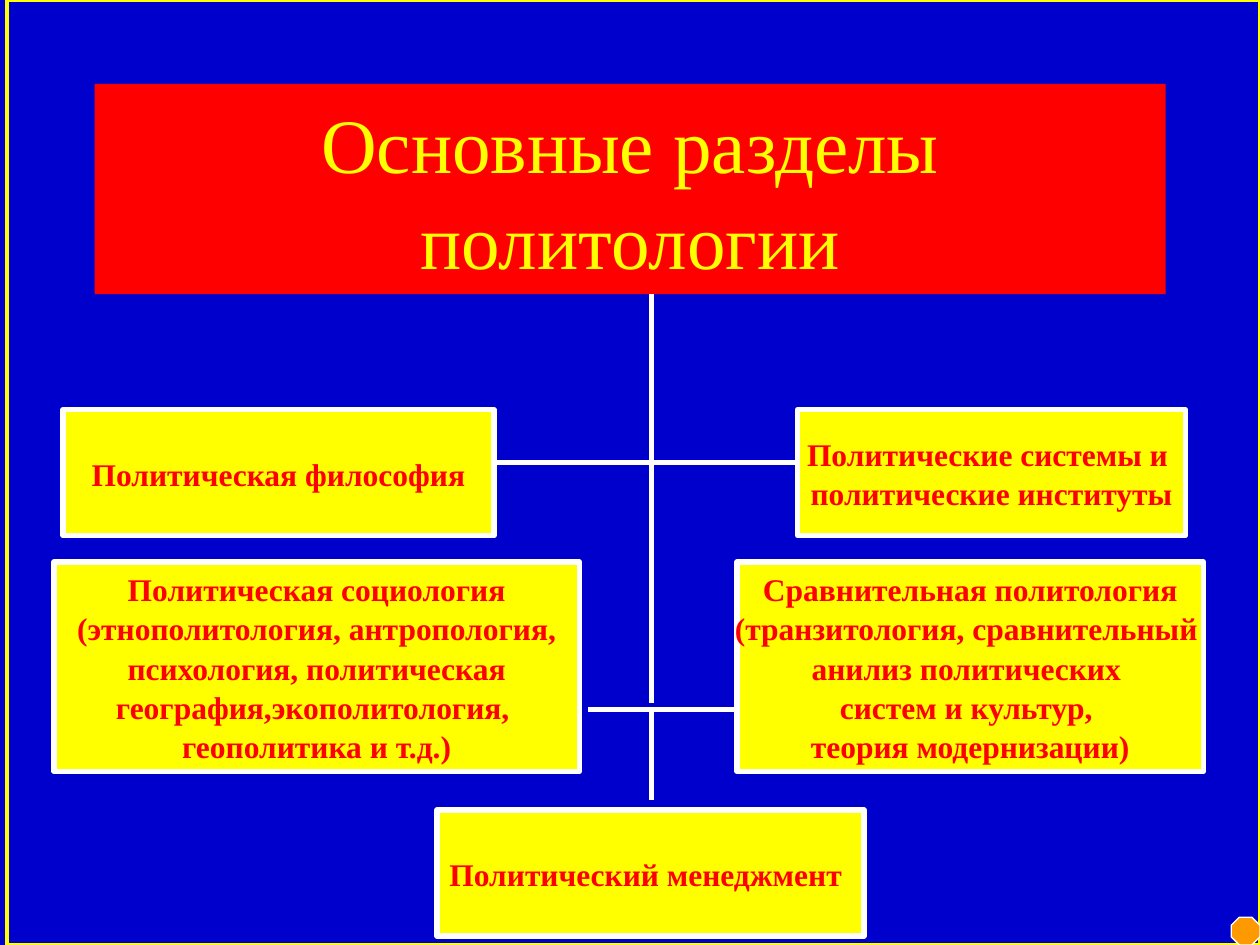
"""Build a slide charting the main branches of political science."""
from dataclasses import dataclass
from typing import Optional

from lxml import etree
from pptx import Presentation
from pptx import util as u
from pptx.dml.color import RGBColor
from pptx.enum import shapes, text
from pptx.oxml.ns import qn

BLUE = RGBColor(0x00, 0x00, 0xCC)
YELLOW = RGBColor(0xFF, 0xFF, 0x00)
RED = RGBColor(0xFF, 0x00, 0x00)
WHITE = RGBColor(0xFF, 0xFF, 0xFF)
ORANGE = RGBColor(0xFF, 0x99, 0x00)
FONT = "Times New Roman"
LINE_SPACING = 1.04
CENTER = text.PP_ALIGN.CENTER
LEFT = text.PP_ALIGN.LEFT
RECTANGLE = shapes.MSO_SHAPE.RECTANGLE


@dataclass(frozen=True)
class Block:
    left: float
    top: float
    width: float
    height: float
    lines: tuple[str, ...] = ()
    fill: Optional[RGBColor] = YELLOW
    outline: Optional[RGBColor] = WHITE
    outline_width: float = 3
    kind: shapes.MSO_SHAPE = RECTANGLE
    size: int = 18
    color: RGBColor = RED
    bold: bool = True
    align: text.PP_ALIGN = CENTER
    wrap: bool = False


@dataclass(frozen=True)
class Link:
    start: tuple[float, float]
    end: tuple[float, float]


TRUNK = 13.13
UPPER_TOP, UPPER_HEIGHT, UPPER_LINK = 8.26, 2.54, 9.32
LOWER_TOP, LOWER_HEIGHT, LOWER_LINK = 11.33, 4.22, 14.3

BLOCKS = (
    Block(0.15, 0, 25.25, 19.05, fill=None, outline=YELLOW, outline_width=2.25),
    Block(24.82, 18.49, 0.58, 0.56, fill=ORANGE, outline_width=0.75,
          kind=shapes.MSO_SHAPE.OCTAGON),
    Block(1.91, 1.69, 21.59, 4.24, ("Основные разделы политологии",),
          fill=RED, outline=None, size=44, color=YELLOW, bold=False, wrap=True),
    Block(1.27, UPPER_TOP, 8.69, UPPER_HEIGHT, ("Политическая философия",)),
    Block(1.09, LOWER_TOP, 10.59, LOWER_HEIGHT, (
        "Политическая социология",
        "(этнополитология, антропология,",
        "психология, политическая",
        "география,экополитология, ",
        "геополитика и т.д.)",
    )),
    Block(16.08, UPPER_TOP, 7.82, UPPER_HEIGHT, (
        "Политические системы и ",
        "политические институты",
    )),
    Block(14.86, LOWER_TOP, 9.4, LOWER_HEIGHT, (
        "Сравнительная политология",
        "(транзитология, сравнительный ",
        "анилиз политических ",
        "систем и культур, ",
        "теория модернизации)",
    )),
    Block(8.81, 16.33, 8.61, UPPER_HEIGHT, ("Политический менеджмент",),
          align=LEFT, wrap=True),
)

LINKS = (
    Link((TRUNK, 5.93), (TRUNK, 14.17)),
    Link((16.08, UPPER_LINK), (9.96, UPPER_LINK)),
    Link((14.81, LOWER_LINK), (11.86, LOWER_LINK)),
    Link((TRUNK, LOWER_LINK), (TRUNK, 16.13)),
)


def write_lines(box, block: Block) -> None:
    """Write each line of a block as its own paragraph."""
    frame = box.text_frame
    frame.word_wrap = block.wrap
    frame.vertical_anchor = text.MSO_ANCHOR.MIDDLE
    for index, line in enumerate(block.lines):
        para = frame.add_paragraph() if index else frame.paragraphs[0]
        para.alignment = block.align
        para.line_spacing = LINE_SPACING
        span = para.add_run()
        span.text = line
        span.font.name = FONT
        span.font.size = u.Pt(block.size)
        span.font.bold = block.bold
        span.font.color.rgb = block.color


def draw_block(page, block: Block) -> None:
    """Draw a filled or outlined shape with its text."""
    box = page.shapes.add_shape(block.kind, u.Cm(block.left), u.Cm(block.top),
                                u.Cm(block.width), u.Cm(block.height))
    box.shadow.inherit = False
    if block.fill is None:
        box.fill.background()
    else:
        box.fill.solid()
        box.fill.fore_color.rgb = block.fill
    if block.outline is None:
        box.line.fill.background()
    else:
        box.line.color.rgb = block.outline
        box.line.width = u.Pt(block.outline_width)
    if block.lines:
        write_lines(box, block)


def draw_link(page, link: Link) -> None:
    """Draw a white straight connector without a shadow."""
    connector = page.shapes.add_connector(
        shapes.MSO_CONNECTOR.STRAIGHT, *map(u.Cm, link.start + link.end))
    connector.line.color.rgb = WHITE
    connector.line.width = u.Pt(3)
    etree.SubElement(connector._element.spPr, qn("a:effectLst"))


def main() -> None:
    """Assemble and save the deck."""
    deck = Presentation()
    deck.slide_width, deck.slide_height = u.Cm(25.4), u.Cm(19.05)
    page = deck.slides.add_slide(deck.slide_layouts[6])
    page.background.fill.solid()
    page.background.fill.fore_color.rgb = BLUE
    for block in BLOCKS:
        draw_block(page, block)
    for link in LINKS:
        draw_link(page, link)
    deck.save("out.pptx")


if __name__ == "__main__":
    main()
